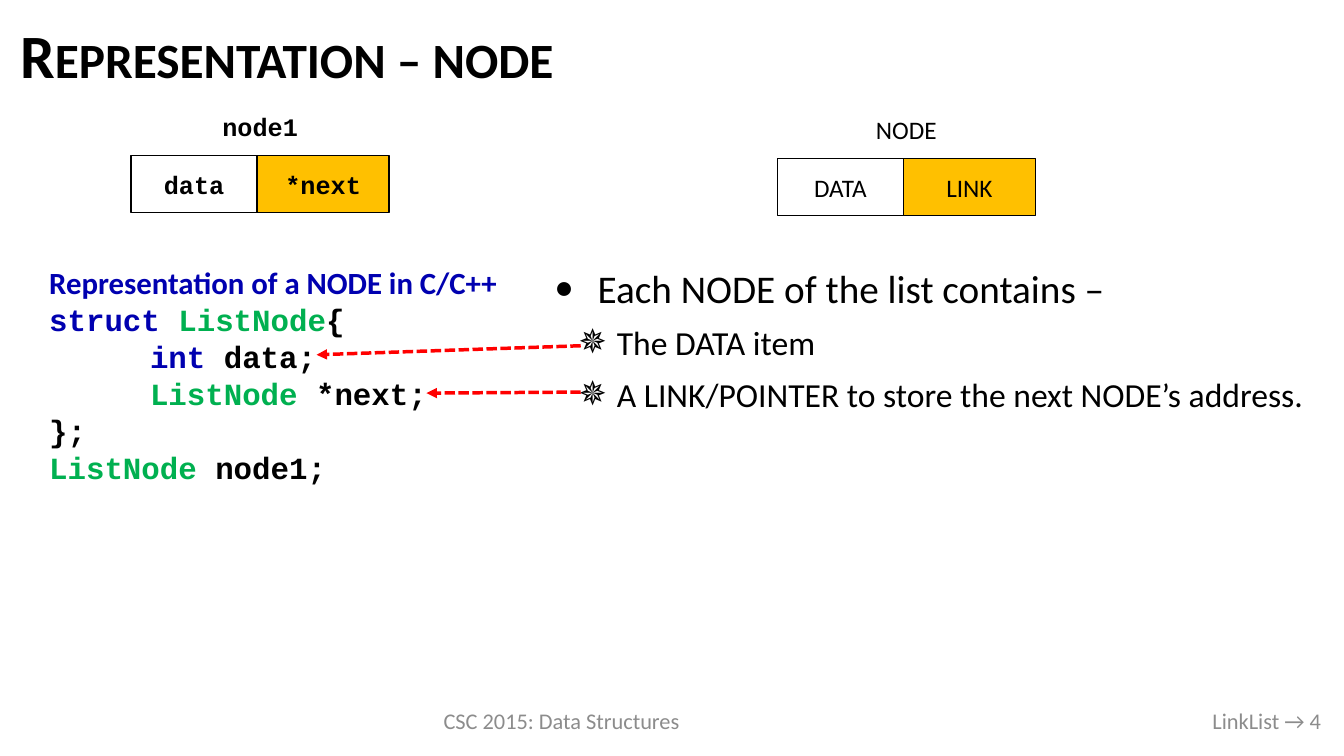
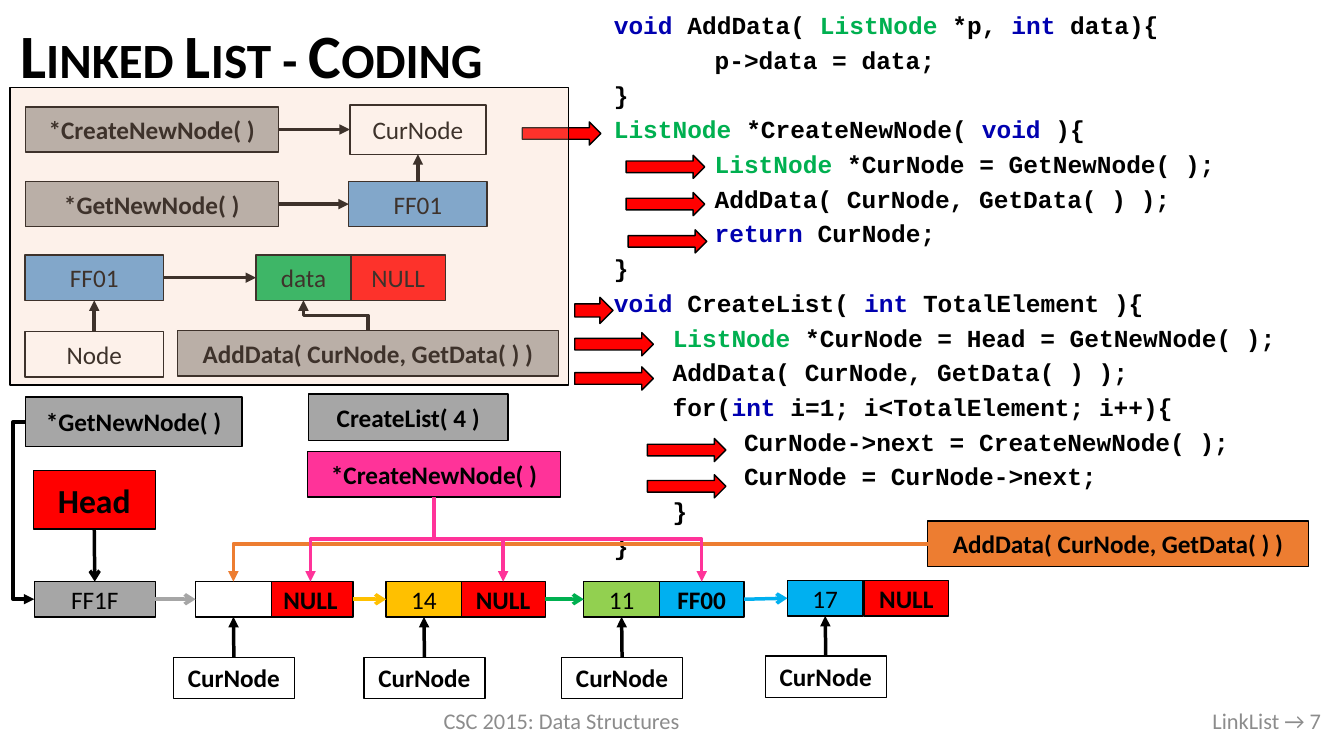
from lxml import etree
from pptx import Presentation
from pptx import util as u
from pptx.dml import color as dml_color
from pptx.enum import dml, shapes, text
from pptx.oxml import ns

PX = 9144  # EMU per px, 100 px to the inch
SANS, MONO = "Calibri", "Courier New"
BLACK, WHITE, GREY, FOOTER_GREY = "000000", "FFFFFF", "A6A6A6", "8C8C8C"
RED, GOLD, GREEN, LIME = "FF0000", "FFC000", "00B050", "92D050"
NAVY, BLUE, SKY = "0000B0", "5B9BD5", "00B0F0"
PINK, ORANGE, PEACH = "FF3399", "ED7D31", "F8CBAD"
CODE_COLORS = {"struct": NAVY, "void": NAVY, "int": NAVY, "return": NAVY, "ListNode": GREEN}
LEFT, CENTER, RIGHT = text.PP_ALIGN.LEFT, text.PP_ALIGN.CENTER, text.PP_ALIGN.RIGHT
MIDDLE, TOP = text.MSO_ANCHOR.MIDDLE, text.MSO_ANCHOR.TOP
TOP_SIDE, LEFT_SIDE, BOTTOM_SIDE, RIGHT_SIDE = range(4)


def rgb(value):
    return dml_color.RGBColor.from_string(value)


def px(*lengths):
    return [u.Emu(length * PX) for length in lengths]


def add_xml(parent, tag, **attributes):
    return etree.SubElement(parent, ns.qn(tag), attributes)


def site_point(end):
    """Accepts an (x, y) point in px or a (shape, side) pair."""
    if isinstance(end[0], int):
        return px(*end)
    shape, side = end
    x = shape.left + (shape.width // 2, 0, shape.width // 2, shape.width)[side]
    y = shape.top + (0, shape.height // 2, shape.height, shape.height // 2)[side]
    return [u.Emu(x), u.Emu(y)]


class Deck:
    def __init__(self):
        self.deck = Presentation()
        self.deck.slide_width, self.deck.slide_height = px(1333, 750)
        self.page = None

    def new_page(self, title, number):
        self.page = self.deck.slides.add_slide(self.deck.slide_layouts[5])
        box = self.page.shapes.title
        box.left, box.top, box.width, box.height = px(10, 11, 1310, 95)
        frame = box.text_frame
        frame.text = title
        frame.auto_size = text.MSO_AUTO_SIZE.NONE
        frame.vertical_anchor = MIDDLE
        para = frame.paragraphs[0]
        para.alignment, para.line_spacing = LEFT, 0.9
        self.style(para, 44, bold=True)
        para.runs[0].font._element.set("cap", "small")
        self.label(389, 695, 336, 40, "CSC 2015: Data Structures", 16, FOOTER_GREY)
        self.label(771, 695, 549, 40, f"LinkList → {number}", 16, FOOTER_GREY, align=RIGHT)

    def style(self, para, size, color=BLACK, font=SANS, bold=False):
        for span in para.runs:
            span.font.size, span.font.name, span.font.bold = u.Pt(size), font, bold
            span.font.color.rgb = rgb(color)

    def text_box(self, x, y, w, h, anchor=TOP):
        frame = self.page.shapes.add_textbox(*px(x, y, w, h)).text_frame
        frame.word_wrap = True
        frame.vertical_anchor = anchor
        return frame

    def label(self, x, y, w, h, words, size=18, color=BLACK, font=SANS, bold=False, align=CENTER):
        para = self.text_box(x, y, w, h, MIDDLE).paragraphs[0]
        para.text = words
        para.alignment = align
        self.style(para, size, color, font, bold)

    def shape(self, kind, x, y, w, h, fill=None, alpha=None):
        shape = self.page.shapes.add_shape(kind, *px(x, y, w, h))
        shape.shadow.inherit = False
        shape.line.color.rgb, shape.line.width = rgb(BLACK), u.Pt(1)
        if fill is None:
            shape.fill.background()
        else:
            shape.fill.solid()
            shape.fill.fore_color.rgb = rgb(fill)
        if alpha is not None:
            tint = shape._element.spPr.find(f"{ns.qn('a:solidFill')}/{ns.qn('a:srgbClr')}")
            add_xml(tint, "a:alpha", val=str(alpha * 1000))
        return shape

    def box(self, x, y, w, h, words="", fill=None, bold=False, size=18, font=SANS, alpha=None):
        box = self.shape(shapes.MSO_SHAPE.RECTANGLE, x, y, w, h, fill, alpha)
        if words:
            box.text_frame.text = words
            box.text_frame.vertical_anchor = MIDDLE
            para = box.text_frame.paragraphs[0]
            para.alignment = CENTER
            self.style(para, size, font=font, bold=bold)
        return box

    def pointer(self, x, y, w=78, h=23):
        self.shape(shapes.MSO_SHAPE.RIGHT_ARROW, x, y, w, h, RED)

    def node_sketch(self, x, y, name, value, link, font=SANS, bold=False):
        self.label(x, y, 256, 57, name, font=font, bold=bold)
        self.box(x, y + 57, 125, 57, value, font=font, bold=bold)
        self.box(x + 125, y + 57, 131, 57, link, GOLD, font=font, bold=bold)

    def bullets(self, x, y, w, h, items):
        frame = self.text_box(x, y, w, h)
        for index, (level, words) in enumerate(items):
            para = frame.add_paragraph() if index else frame.paragraphs[0]
            para.text = words
            margin, hang, mark, size = ((43, 43, "•", 28), (62, 38, "✵", 24))[level]
            props = para._p.get_or_add_pPr()
            props.set("marL", str(margin * PX))
            props.set("indent", str(-hang * PX))
            add_xml(props, "a:buFont", typeface=SANS)
            add_xml(props, "a:buChar", char=mark)
            para.space_before, para.space_after = u.Pt(4 if index else 0), u.Pt(4)
            self.style(para, size)

    def code(self, frame, lines, size, spacing=1.0, gap=0):
        """Fills the frame, adding to a heading if there is one."""
        for line in lines:
            first = not frame.text
            para = frame.paragraphs[0] if first else frame.add_paragraph()
            stops = add_xml(para._p.get_or_add_pPr(), "a:tabLst")
            add_xml(stops, "a:tab", pos=str(100 * PX), algn="l")
            para.line_spacing = spacing
            para.space_before, para.space_after = u.Pt(0 if first else gap), u.Pt(gap)
            for word in CODE_COLORS:
                line = line.replace(word, f"|{word}|")
            for piece in filter(None, line.split("|")):
                para.add_run().text = piece
            self.style(para, size, font=MONO, bold=True)
            for span in para.runs:
                span.font.color.rgb = rgb(CODE_COLORS.get(span.text, BLACK))

    def link(self, start, end, color=BLACK, head="triangle", dashed=False,
             elbow=None, adjust=None):
        """elbow: None, "across" (middle leg upright), "down" (middle leg level) or "corner"."""
        kind = shapes.MSO_CONNECTOR.ELBOW if elbow else shapes.MSO_CONNECTOR.STRAIGHT
        line = self.page.shapes.add_connector(kind, *site_point(start), *site_point(end))
        if not isinstance(start[0], int):
            line.begin_connect(*start)
        if not isinstance(end[0], int):
            line.end_connect(*end)
        props = line._element.spPr
        geometry = props.find(ns.qn("a:prstGeom"))
        if elbow == "corner":
            geometry.set("prst", "bentConnector2")
        if elbow == "down":
            self.turn(line)
        if adjust is not None:
            add_xml(geometry.find(ns.qn("a:avLst")), "a:gd", name="adj1", fmla=f"val {adjust}")
        line.line.color.rgb, line.line.width = rgb(color), u.Pt(2.5)
        if dashed:
            line.line.dash_style = dml.MSO_LINE.SQUARE_DOT
        add_xml(props.find(ns.qn("a:ln")), "a:tailEnd", type=head)
        add_xml(props, "a:effectLst")

    def turn(self, line):
        """Rotates an elbow so that it leaves and arrives vertically."""
        dx, dy = line.end_x - line.begin_x, line.end_y - line.begin_y
        mid_x, mid_y = line.begin_x + dx // 2, line.begin_y + dy // 2
        wide, high = abs(dy), abs(dx)
        frame = line._element.spPr.find(ns.qn("a:xfrm"))
        line.left, line.top = u.Emu(mid_x - wide // 2), u.Emu(mid_y - high // 2)
        line.width, line.height = u.Emu(wide), u.Emu(high)
        frame.set("rot", str((90 if dy > 0 else 270) * 60000))
        frame.set("flipH", "0")
        frame.set("flipV", "1" if (dx > 0) == (dy > 0) else "0")


def node_page(deck):
    deck.new_page("Representation – node", 4)
    deck.bullets(540, 257, 804, 201, [
        (0, "Each NODE of the list contains –"),
        (1, "The DATA item"),
        (1, "A LINK/POINTER to store the next NODE’s address."),
    ])
    deck.node_sketch(771, 100, "NODE", "DATA", "LINK")
    deck.node_sketch(130, 97, "node1", "data", "*next", MONO, True)
    # Struct definition
    frame = deck.text_box(39, 257, 550, 232)
    frame.text = "Representation of a NODE in C/C++"
    deck.style(frame.paragraphs[0], 22, NAVY, bold=True)
    deck.code(frame, ["struct ListNode{", "\tint data;", "\tListNode *next;", "};",
                      "ListNode node1;"], 22)
    for start, end in (((576, 343), (314, 352)), ((576, 389), (423, 390))):
        deck.link(start, end, RED, dashed=True)


def coding_page(deck):
    deck.new_page("Linked List - Coding", 7)
    deck.code(deck.text_box(599, 11, 704, 619), [
        "void AddData( ListNode *p, int data){",
        "\tp->data = data;",
        "}",
        "ListNode *CreateNewNode( void ){",
        "\tListNode *CurNode = GetNewNode( );",
        "\tAddData( CurNode, GetData( ) );",
        "\treturn CurNode;",
        "}",
        "void CreateList( int TotalElement ){",
        "    ListNode *CurNode = Head = GetNewNode( );",
        "    AddData( CurNode, GetData( ) );",
        "    for(int i=1; i<TotalElement; i++){",
        "\t  CurNode->next = CreateNewNode( );",
        "\t  CurNode = CurNode->next;",
        "    }",
        "}",
    ], 17.5, 0.8, 4)

    # Creating one node
    create = deck.box(25, 106, 251, 45, "*CreateNewNode( )", GREY, True)
    current = deck.box(347, 104, 135, 49, "CurNode", WHITE)
    get_node = deck.box(25, 180, 251, 45, "*GetNewNode( )", GREY, True)
    new_address = deck.box(346, 180, 137, 45, "FF01", BLUE)
    address = deck.box(25, 253, 137, 45, "FF01", BLUE)
    data = deck.box(254, 253, 94, 45, "data", GREEN)
    deck.box(348, 253, 94, 45, "NULL", RED)
    node = deck.box(25, 329, 137, 45, "Node", WHITE)
    add_data = deck.box(176, 328, 378, 45, "AddData( CurNode, GetData( ) )", GREY, True)
    for source, target in ((create, current), (get_node, new_address), (address, data)):
        deck.link((source, RIGHT_SIDE), (target, LEFT_SIDE))
    for source, target in ((new_address, current), (node, address)):
        deck.link((source, TOP_SIDE), (target, BOTTOM_SIDE))
    deck.link((add_data, TOP_SIDE), (data, BOTTOM_SIDE), elbow="down")

    # Pointers at the code lines
    for x, y in ((518, 121), (621, 154), (621, 191), (623, 228), (570, 330), (570, 364),
                 (642, 435), (642, 471)):
        deck.pointer(x, y)
    deck.pointer(570, 295, 38, 26)

    # Building the list
    deck.box(306, 391, 198, 46, "CreateList( 4 )", GREY, True)
    get_first = deck.box(25, 394, 215, 49, "*GetNewNode( )", GREY, True)
    head = deck.box(33, 467, 121, 58, "Head", RED, True, 24)
    first = deck.box(34, 577, 120, 35, "FF1F", GREY)
    deck.link((head, BOTTOM_SIDE), (first, TOP_SIDE), head="arrow")
    deck.link((get_first, LEFT_SIDE), (first, LEFT_SIDE), elbow="across", adjust=-133700)
    previous, values, links = first, [], []
    for x, link_x, y, value, fill, next_value, next_fill, arrow in (
            (194, 266, 577, "", WHITE, "NULL", RED, GREY),
            (383, 457, 577, "14", GOLD, "NULL", RED, GOLD),
            (579, 654, 577, "11", LIME, "FF00", SKY, GREEN),
            (781, 857, 576, "17", SKY, "NULL", RED, SKY)):
        links.append(deck.box(link_x, y, 84, 35, next_value, next_fill, True))
        values.append(deck.box(x, y, 75, 35, value, fill))
        label = deck.box(x - 22, y + 75, 120, 41, "CurNode", WHITE, True)
        deck.link((label, TOP_SIDE), (values[-1], BOTTOM_SIDE))
        deck.link((previous, RIGHT_SIDE), (values[-1], LEFT_SIDE), arrow, "arrow")
        previous = links[-1]

    # Calls that fill the list
    fill_data = deck.box(920, 517, 378, 45, "AddData( CurNode, GetData( ) )", ORANGE, True)
    deck.link((fill_data, LEFT_SIDE), (values[0], TOP_SIDE), ORANGE, elbow="corner")
    create_next = deck.box(305, 448, 251, 45, "*CreateNewNode( )", PINK, True)
    for target in links[:3]:
        deck.link((create_next, BOTTOM_SIDE), (target, TOP_SIDE), PINK, elbow="down")

    # Veil over the finished part
    deck.box(10, 87, 554, 295, fill=PEACH, alpha=25)


def main():
    deck = Deck()
    node_page(deck)
    coding_page(deck)
    deck.deck.save("out.pptx")


if __name__ == "__main__":
    main()
